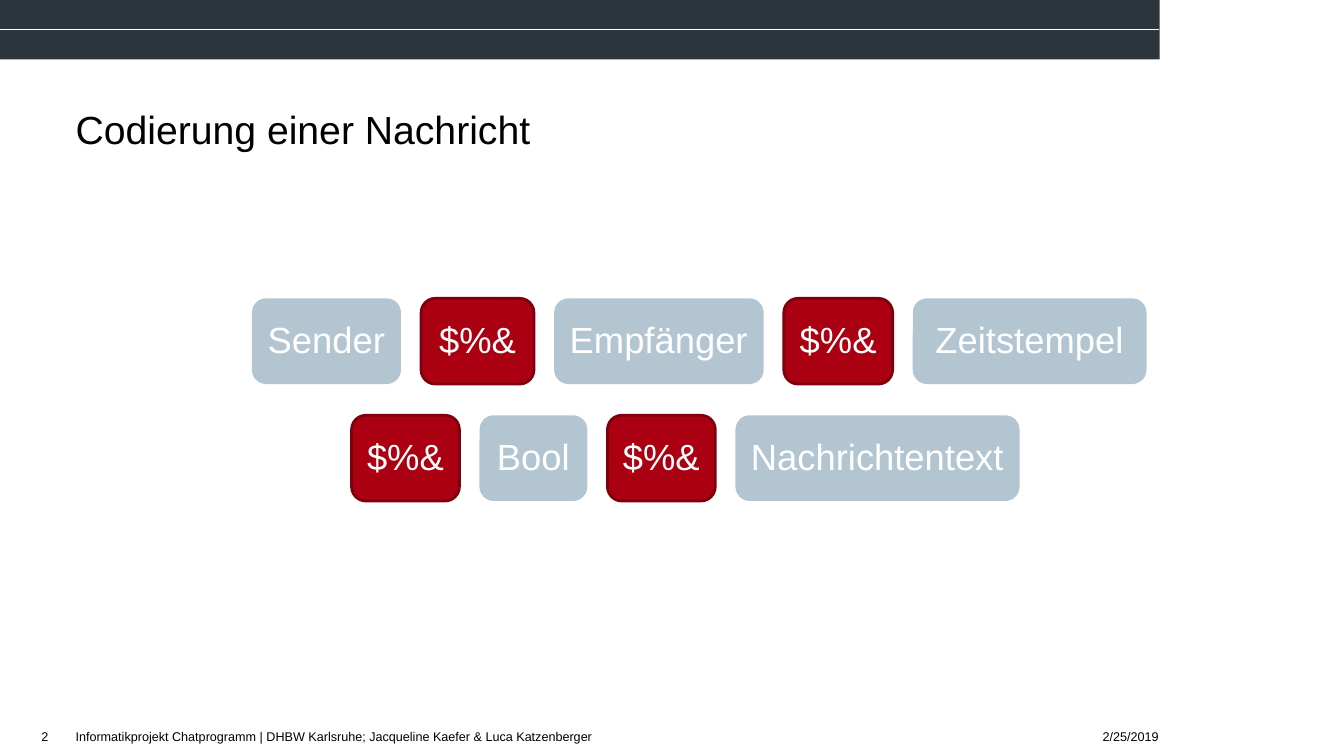
from lxml.etree import SubElement
from pptx import Presentation
from pptx.dml.color import RGBColor
from pptx.enum.shapes import MSO_CONNECTOR, MSO_SHAPE
from pptx.enum.text import MSO_ANCHOR, PP_ALIGN
from pptx.oxml.ns import qn
from pptx.util import Inches, Pt

WIDTH, HEIGHT = Inches(13.34), Inches(7.5)
COLUMNS, ROWS = 133.4, 75
COLORS = {
    "banner": "2C353C",
    "field": "B2C5D1",
    "separator": "AA0012",
    "separator_edge": "7E000D",
    "light": "FFFFFF",
    "dark": "000000",
}
SEPARATOR = "$%&"
FIELD_GAP, FIELD_HEIGHT = 2, 8.5
MESSAGE_ROWS = [
    (25, 29.6, [("Sender", 14.8), (SEPARATOR, 11.2), ("Empfänger", 20.8),
                (SEPARATOR, 10.8), ("Zeitstempel", 23.2)]),
    (34.9, 41.2, [(SEPARATOR, 10.7), ("Bool", 10.7), (SEPARATOR, 10.7),
                  ("Nachrichtentext", 28.2)]),
]


def color(name):
    return RGBColor.from_string(COLORS[name])


def col(count):
    return round(WIDTH * count / COLUMNS)


def row(count):
    return round(HEIGHT * count / ROWS)


def area(left, top, width, height):
    return col(left), row(top), col(width), row(height)


def write(frame, text, size, text_color, align, spacing):
    frame.word_wrap = True
    paragraph = frame.paragraphs[0]
    paragraph.alignment = align
    paragraph.line_spacing = spacing
    run = paragraph.add_run()
    run.text = text
    run.font.name = "Arial"
    run.font.size = Pt(size)
    run.font.color.rgb = color(text_color)


def add_label(slide, place, text, size, align=PP_ALIGN.LEFT, spacing=0.93):
    frame = slide.shapes.add_textbox(*area(*place)).text_frame
    frame.margin_left = frame.margin_right = 0
    frame.margin_top = frame.margin_bottom = 0
    write(frame, text, size, "dark", align, spacing)


def add_block(slide, outline, place, fill, edge=None):
    block = slide.shapes.add_shape(outline, *area(*place))
    block.shadow.inherit = False
    block.fill.solid()
    block.fill.fore_color.rgb = color(fill)
    if edge:
        block.line.color.rgb = color(edge)
        block.line.width = Pt(2)
    else:
        block.line.fill.background()
    return block


def add_banner(slide):
    add_block(slide, MSO_SHAPE.RECTANGLE, (0, 0, 115.1, 5.9), "banner")
    stripe = slide.shapes.add_connector(
        MSO_CONNECTOR.STRAIGHT, 0, row(2.9), col(115), row(2.9))
    stripe.line.color.rgb = color("light")
    stripe.line.width = Pt(0.5)
    SubElement(stripe._element.spPr, qn("a:effectLst"))


def add_message_row(slide, left, top, fields):
    for text, width in fields:
        style = (("separator", "separator_edge") if text == SEPARATOR
                 else ("field",))
        field = add_block(slide, MSO_SHAPE.ROUNDED_RECTANGLE,
                          (left, top, width, FIELD_HEIGHT), *style)
        field.text_frame.vertical_anchor = MSO_ANCHOR.MIDDLE
        write(field.text_frame, text, 26, "light", PP_ALIGN.CENTER, 0.93)
        left += width + FIELD_GAP


def add_footer(slide):
    add_label(slide, (83.9, 72.4, 31.1, 1.6), "2/25/2019", 9, PP_ALIGN.RIGHT)
    add_label(slide, (7.5, 72.4, 59.1, 1.6),
              "Informatikprojekt Chatprogramm | DHBW Karlsruhe; "
              "Jacqueline Kaefer & Luca Katzenberger", 9)
    add_label(slide, (0, 72.3, 4.8, 1.6), "2", 9, PP_ALIGN.RIGHT, 1.0)


def main():
    deck = Presentation()
    deck.slide_width, deck.slide_height = WIDTH, HEIGHT
    slide = deck.slides.add_slide(deck.slide_layouts[6])
    add_banner(slide)
    add_label(slide, (7.5, 10.7, 107.5, 4.5), "Codierung einer Nachricht", 28,
              spacing=Pt(32))
    for left, top, fields in MESSAGE_ROWS:
        add_message_row(slide, left, top, fields)
    add_footer(slide)
    deck.save("out.pptx")


if __name__ == "__main__":
    main()
